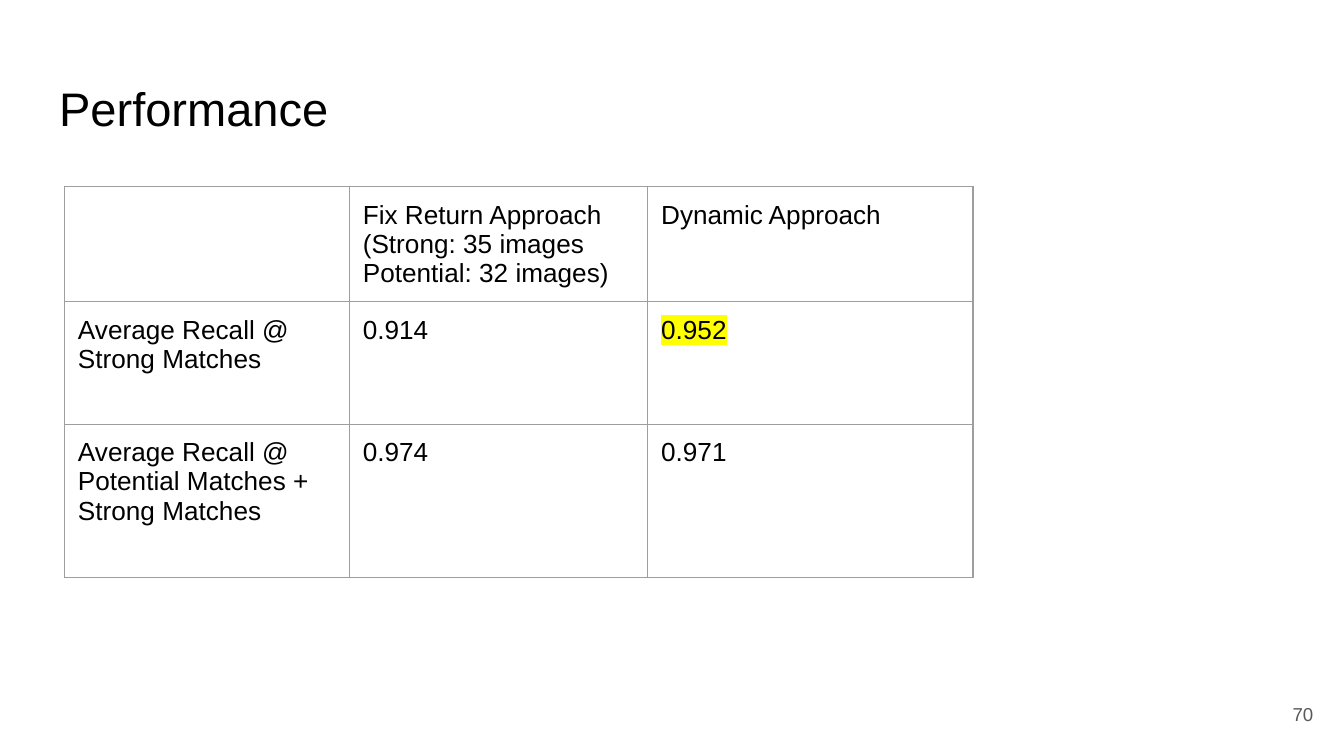
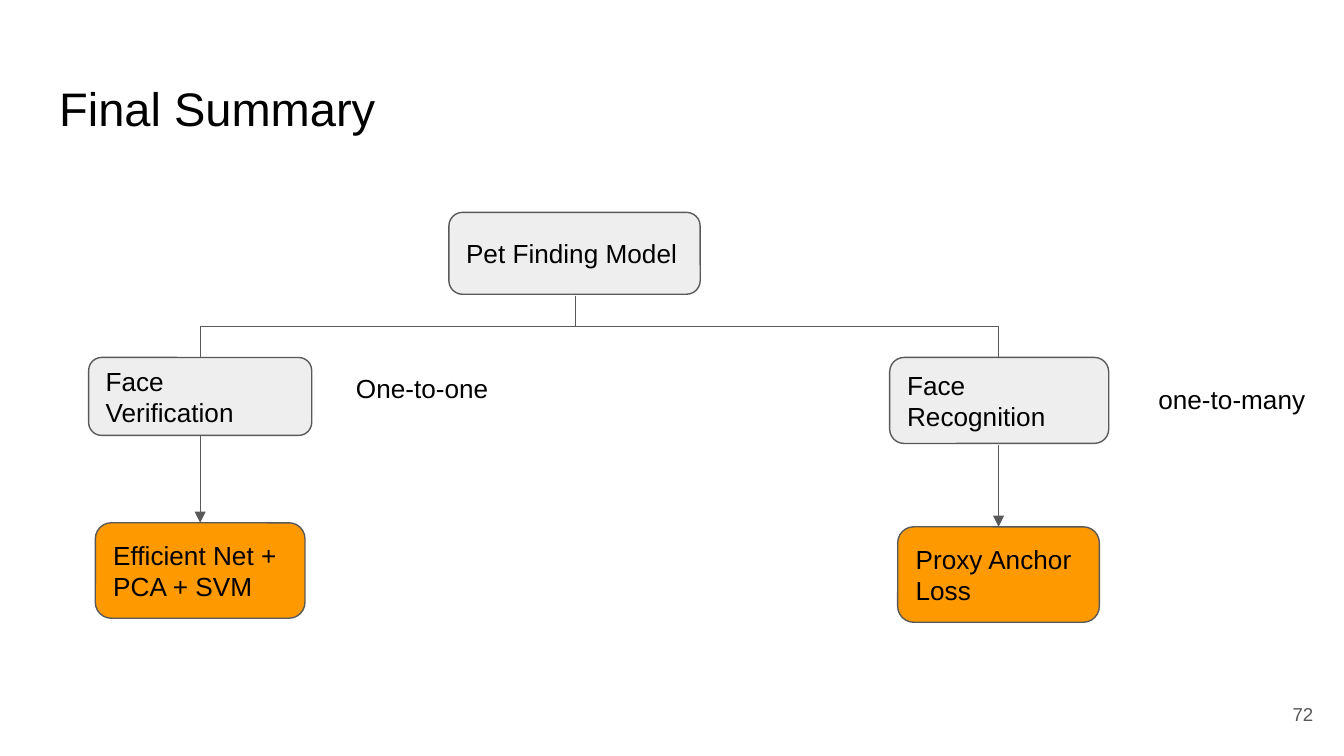
"""Build two slides: a recall table and a summary tree of the pet finding model."""
from lxml.etree import SubElement
from pptx import Presentation
from pptx.dml.color import RGBColor
from pptx.enum.shapes import MSO_CONNECTOR, MSO_SHAPE
from pptx.enum.text import MSO_ANCHOR, MSO_AUTO_SIZE, PP_ALIGN
from pptx.oxml import parse_xml
from pptx.oxml.ns import nsdecls, qn
from pptx.util import Inches, Pt

COLORS = {"text": "000000", "gray": "595959", "grid": "9E9E9E",
          "box": "EEEEEE", "result": "FF9900", "mark": "FFFF00"}
INSET = Inches(0.1)


def write(tf, text, size=14, color="text", align=PP_ALIGN.LEFT,
          anchor=MSO_ANCHOR.TOP, fit=MSO_AUTO_SIZE.NONE, mark=None):
    tf.word_wrap = True
    tf.auto_size = fit
    tf.vertical_anchor = anchor
    tf.margin_left = tf.margin_right = tf.margin_top = tf.margin_bottom = INSET
    for i, line in enumerate(text.split("\n")):
        p = tf.add_paragraph() if i else tf.paragraphs[0]
        p.alignment = align
        r = p.add_run()
        r.text = line
        r.font.size = Pt(size)
        r.font.color.rgb = RGBColor.from_string(COLORS[color])
        if mark:
            hl = SubElement(r.font._element, qn("a:highlight"))
            SubElement(hl, qn("a:srgbClr"), val=COLORS[mark])
        r.font.name = "Arial"


def style_line(cxn, arrow=False):
    cxn.line.color.rgb = RGBColor.from_string(COLORS["gray"])
    cxn.line.width = Pt(0.75)
    if arrow:
        SubElement(cxn.line._get_or_add_ln(), qn("a:tailEnd"), type="triangle")
    SubElement(cxn._element.spPr, qn("a:effectLst"))


prs = Presentation()
prs.slide_width = Inches(10)
prs.slide_height = prs.slide_width * 9 // 16

slides = []
for title, number in [("Performance", "70"), ("Final Summary", "72")]:
    s = prs.slides.add_slide(prs.slide_layouts[5])
    sp = s.shapes.title
    sp.left, sp.top, sp.width, sp.height = map(Inches, (0.34, 0.49, 9.32, 0.63))
    write(sp.text_frame, title, size=25.2)
    sp = s.shapes.add_textbox(*map(Inches, (9.27, 5.1, 0.6, 0.43)))
    write(sp.text_frame, number, size=10, color="gray",
          align=PP_ALIGN.RIGHT, anchor=MSO_ANCHOR.MIDDLE)
    slides.append(s)
performance, summary = slides

rows = [
    ["", "Fix Return Approach\n(Strong: 35 images\nPotential: 32 images)", "Dynamic Approach"],
    ["Average Recall @ Strong Matches", "0.914", "0.952"],
    ["Average Recall @ Potential Matches + Strong Matches", "0.974", "0.971"],
]
best = "0.952"
widths, heights = [2.12, 2.22, 2.42], [0.67, 0.91, 1.14]
table = performance.shapes.add_table(
    3, 3, Inches(0.48), Inches(1.39), Inches(sum(widths)), Inches(sum(heights))).table
table.first_row = table.horz_banding = False
for col, width in zip(table.columns, widths):
    col.width = Inches(width)
for row, height, values in zip(table.rows, heights, rows):
    row.height = Inches(height)
    for cell, value in zip(row.cells, values):
        cell.margin_left = cell.margin_right = cell.margin_top = cell.margin_bottom = INSET
        cell.fill.background()
        tcPr = cell._tc.get_or_add_tcPr()
        for i, side in enumerate(("lnL", "lnR", "lnT", "lnB")):
            tcPr.insert(i, parse_xml(
                f'<a:{side} {nsdecls("a")} w="9525"><a:solidFill>'
                f'<a:srgbClr val="{COLORS["grid"]}"/></a:solidFill></a:{side}>'))
        if value:
            write(cell.text_frame, value, mark="mark" if value == best else None)

boxes = {}
for name, fill, x, y, w, h in [
    ("Pet Finding Model", "box", 3.34, 1.58, 1.87, 0.61),
    ("Face Verification", "box", 0.66, 2.66, 1.66, 0.58),
    ("Face Recognition", "box", 6.62, 2.66, 1.63, 0.64),
    ("Efficient Net + PCA + SVM", "result", 0.71, 3.89, 1.56, 0.71),
    ("Proxy Anchor Loss", "result", 6.68, 3.92, 1.5, 0.71),
]:
    sp = summary.shapes.add_shape(MSO_SHAPE.ROUNDED_RECTANGLE, *map(Inches, (x, y, w, h)))
    sp.shadow.inherit = False
    sp.fill.solid()
    sp.fill.fore_color.rgb = RGBColor.from_string(COLORS[fill])
    sp.line.color.rgb = RGBColor.from_string(COLORS["gray"])
    sp.line.width = Pt(0.75)
    write(sp.text_frame, name, anchor=MSO_ANCHOR.MIDDLE)
    boxes[name] = sp

root_x, root_y, branch_y = 4.28, 2.2, 2.66
for child_x in (1.49, 7.43):
    drop, span = branch_y - root_y, abs(child_x - root_x)
    mid_x, mid_y = (root_x + child_x) / 2, (root_y + branch_y) / 2
    left, right = mid_x - drop / 2, mid_x + drop / 2
    goes_right = child_x > root_x
    x1, x2 = (right, left) if goes_right else (left, right)
    cxn = summary.shapes.add_connector(
        MSO_CONNECTOR.ELBOW, *map(Inches, (x1, mid_y - span / 2, x2, mid_y + span / 2)))
    cxn.rotation = 270 if goes_right else 90
    style_line(cxn)

for x, y1, y2 in [(1.49, 3.24, 3.89), (7.43, 3.31, 3.92)]:
    cxn = summary.shapes.add_connector(
        MSO_CONNECTOR.STRAIGHT, *map(Inches, (x, y1, x, y2)))
    style_line(cxn, arrow=True)

for label, x, y, w in [("One-to-one", 2.55, 2.67, 1.5), ("one-to-many", 8.52, 2.75, 1.41)]:
    sp = summary.shapes.add_textbox(*map(Inches, (x, y, w, 0.44)))
    write(sp.text_frame, label, fit=MSO_AUTO_SIZE.SHAPE_TO_FIT_TEXT)

prs.save("out.pptx")
